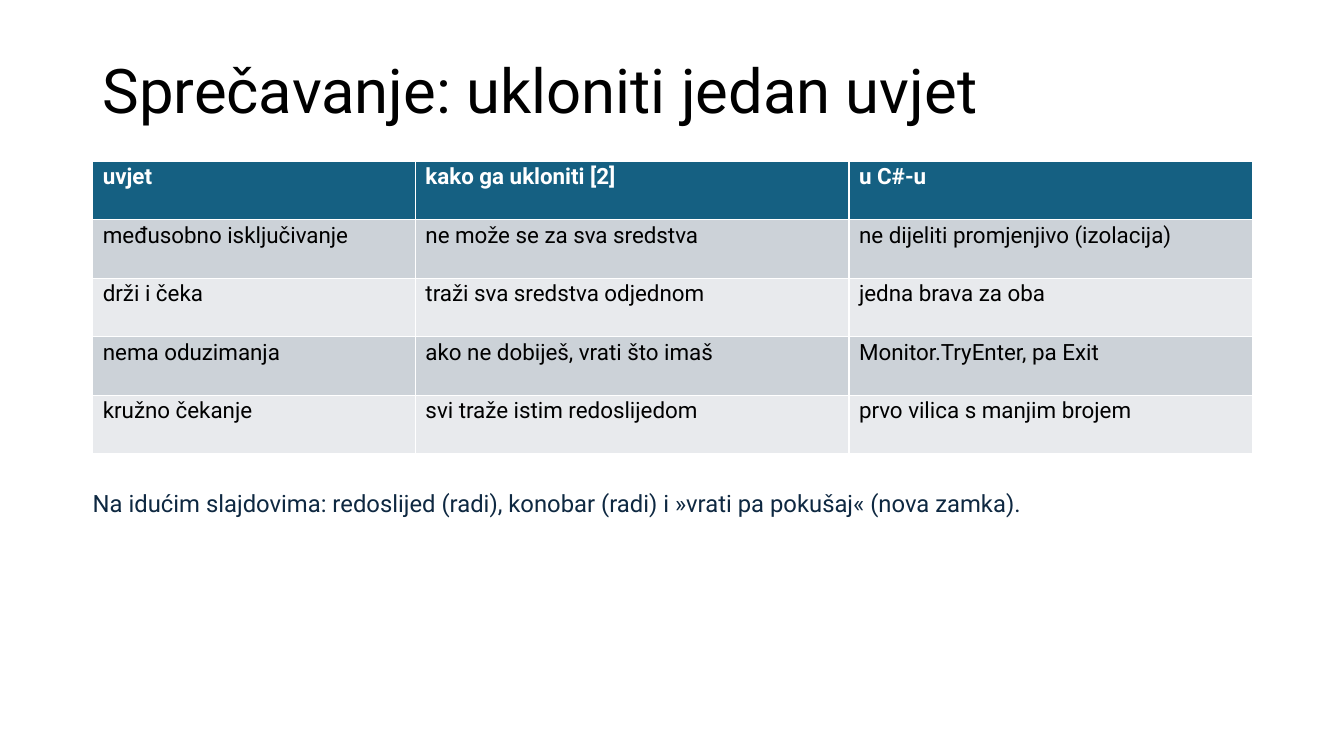
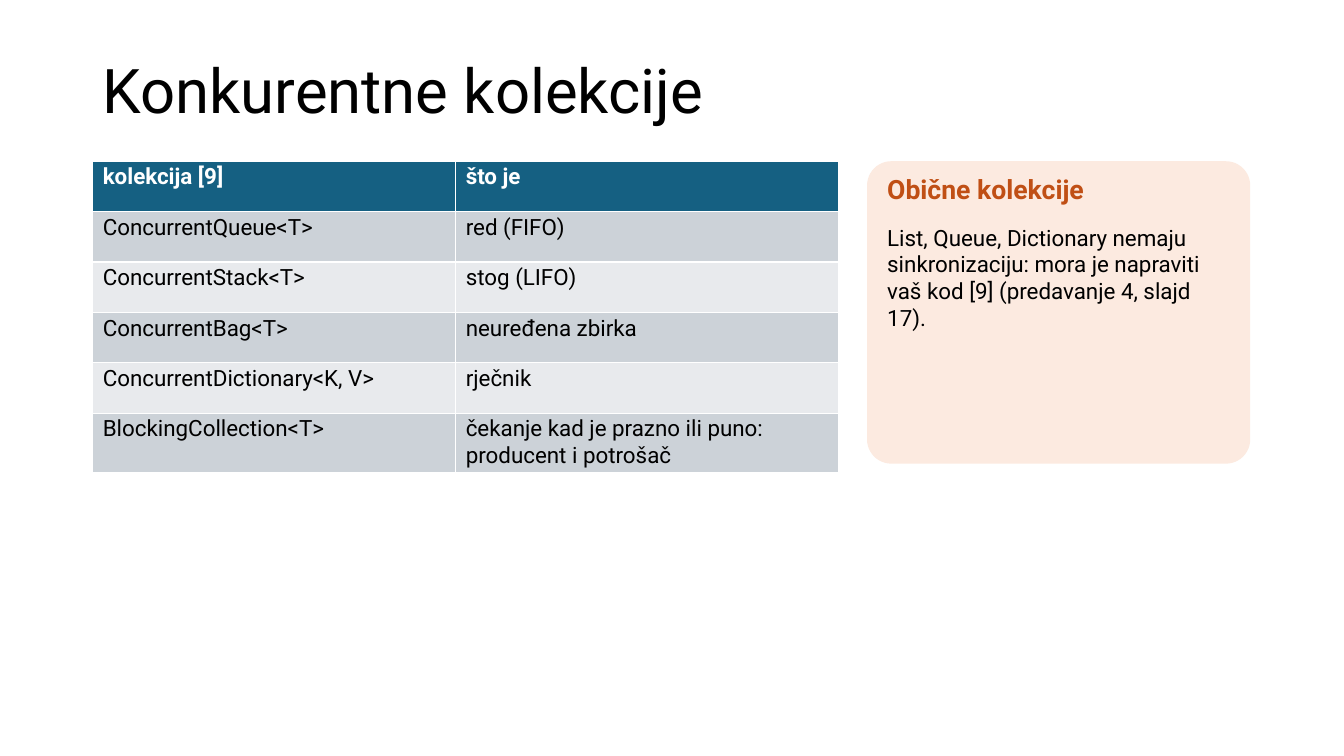
"""Build two lecture slides on deadlock prevention and concurrent collections."""
from pptx import Presentation
from pptx import util as u
from pptx.dml.color import RGBColor
from pptx.enum import shapes, text

PX = u.Inches(1) // 100
FONT = "Roboto"
BLACK, WHITE, NAVY = "000000", "FFFFFF", "0E2841"
HEADER, BANDS = "156082", ("CCD2D8", "E8EAED")
PEACH, RUST = "FCEAE0", "C04F15"
LEFT, WIDTH, TABLE_TOP = 92, 1150, 160

CONDITIONS = [
    ("uvjet", "kako ga ukloniti [2]", "u C#-u"),
    ("međusobno isključivanje", "ne može se za sva sredstva", "ne dijeliti promjenjivo (izolacija)"),
    ("drži i čeka", "traži sva sredstva odjednom", "jedna brava za oba"),
    ("nema oduzimanja", "ako ne dobiješ, vrati što imaš", "Monitor.TryEnter, pa Exit"),
    ("kružno čekanje", "svi traže istim redoslijedom", "prvo vilica s manjim brojem"),
]
COLLECTIONS = [
    ("kolekcija [9]", "što je"),
    ("ConcurrentQueue<T>", "red (FIFO)"),
    ("ConcurrentStack<T>", "stog (LIFO)"),
    ("ConcurrentBag<T>", "neuređena zbirka"),
    ("ConcurrentDictionary<K, V>", "rječnik"),
    ("BlockingCollection<T>", "čekanje kad je prazno ili puno: producent i potrošač"),
]


def px(*lengths):
    """Turn pixel lengths into EMU."""
    return [length * PX for length in lengths]


def paint(color_format, color):
    """Give a fill or font colour its hex value."""
    color_format.rgb = RGBColor.from_string(color)


def fill(target, color):
    """Fill a shape or cell with one solid colour."""
    target.fill.solid()
    paint(target.fill.fore_color, color)


def write(frame, words, size, color, bold=False):
    """Put one styled paragraph into a text frame and return it."""
    para = frame.paragraphs[0]
    para.text = words
    para.font.name, para.font.size, para.font.bold = FONT, u.Pt(size), bold
    paint(para.font.color, color)
    return para


def add_title(page, words):
    """Add the slide title."""
    frame = page.shapes.add_textbox(*px(LEFT, 40, WIDTH, 106)).text_frame
    frame.word_wrap = True
    frame.vertical_anchor = text.MSO_ANCHOR.MIDDLE
    write(frame, words, 44, BLACK).line_spacing = 0.9


def add_note(page, place, words, size, color, bold=False):
    """Add a text box without margins."""
    frame = page.shapes.add_textbox(*px(*place)).text_frame
    frame.word_wrap = True
    frame.auto_size = text.MSO_AUTO_SIZE.SHAPE_TO_FIT_TEXT
    frame.margin_left = frame.margin_top = frame.margin_right = frame.margin_bottom = 0
    write(frame, words, size, color, bold)


def add_banded_table(page, rows, widths, row_height):
    """Add a table with a dark header and alternating row fills."""
    place = px(LEFT, TABLE_TOP, sum(widths), row_height * len(rows))
    table = page.shapes.add_table(len(rows), len(widths), *place).table
    for column, width in zip(table.columns, px(*widths)):
        column.width = width
    for index, row in enumerate(rows):
        is_header = index == 0
        for cell, words in zip(table.rows[index].cells, row):
            fill(cell, HEADER if is_header else BANDS[(index - 1) % 2])
            cell.margin_left, cell.margin_top, cell.margin_right, cell.margin_bottom = px(10, 3, 10, 3)
            write(cell.text_frame, words, 16, WHITE if is_header else BLACK, is_header)


def add_card(page, place, heading, words):
    """Add a rounded card with a heading and body text."""
    left, top, width, height = place
    card = page.shapes.add_shape(shapes.MSO_SHAPE.ROUNDED_RECTANGLE, *px(*place))
    card.adjustments[0] = 0.08
    card.shadow.inherit = False
    fill(card, PEACH)
    card.line.fill.background()
    add_note(page, (left + 20, top + 12, width - 40, 45), heading, 19, RUST, True)
    add_note(page, (left + 20, top + 62, width - 40, height - 70), words, 16, BLACK)


def add_page(deck, title):
    """Add a blank slide with its title."""
    page = deck.slides.add_slide(deck.slide_layouts[6])
    add_title(page, title)
    return page


def main():
    """Build and save the deck."""
    deck = Presentation()
    deck.slide_width, deck.slide_height = px(1333, 750)

    page = add_page(deck, "Sprečavanje: ukloniti jedan uvjet")
    add_banded_table(page, CONDITIONS, (320, 430, 400), 58)
    add_note(page, (LEFT, 485, WIDTH, 160),
             "Na idućim slajdovima: redoslijed (radi), konobar (radi) i »vrati pa pokušaj« (nova zamka).",
             17, NAVY)

    page = add_page(deck, "Konkurentne kolekcije")
    add_banded_table(page, COLLECTIONS, (360, 380), 50)
    add_card(page, (860, TABLE_TOP, 380, 300), "Obične kolekcije",
             "List, Queue, Dictionary nemaju sinkronizaciju: mora je napraviti "
             "vaš kod [9] (predavanje 4, slajd 17).")

    deck.save("out.pptx")


if __name__ == "__main__":
    main()
